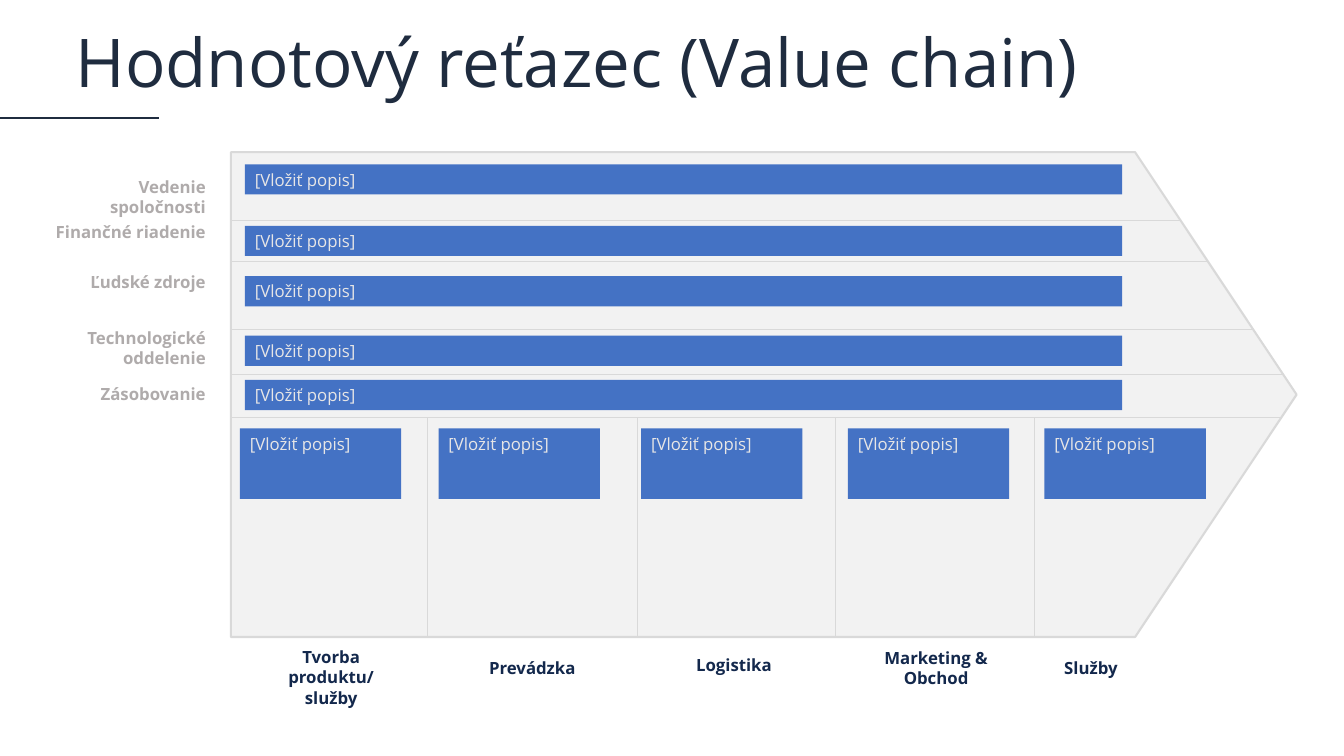
import pptx
import pptx.util
import pptx.dml.color
import pptx.enum.shapes
import pptx.enum.text
import pptx.oxml

Inches = pptx.util.Inches
RGB = pptx.dml.color.RGBColor
Shape = pptx.enum.shapes.MSO_SHAPE
Align = pptx.enum.text.PP_ALIGN
Anchor = pptx.enum.text.MSO_ANCHOR

INK = RGB(0x1F, 0x2C, 0x3F)
NAVY = RGB(0x13, 0x28, 0x4C)
BLUE = RGB(0x44, 0x72, 0xC4)
PALE = RGB(0xF2, 0xF2, 0xF2)
RULE = RGB(0xD9, 0xD9, 0xD9)
GREY = RGB(0xAF, 0xAB, 0xAB)
LIGHT = RGB(0xE7, 0xE6, 0xE6)

FONT = "Open Sans"
HINT = "[Vložiť popis]"
SLANT = 0.333
SPLIT = 2.63
BAR = (8.7, 0.3)
CARD = (1.6, 0.7)

# Support rows: label, label top, label width, bar top
ROWS = [
    ("Vedenie spoločnosti", 0.19, 1.77, 0.12),
    ("Finančné riadenie", 0.64, 1.9, 0.73),
    ("Ľudské zdroje", 1.14, 1.9, 1.23),
    ("Technologické oddelenie", 1.69, 1.77, 1.82),
    ("Zásobovanie", 2.25, 1.77, 2.26),
]
ROW_CUTS = [0.68, 1.08, 1.76, 2.2, SPLIT]

# Primary steps: label, label left, label top, label width, card left
STEPS = [
    ("Tvorba produktu/ služby", 0.19, 0.05, 1.61, 0.09),
    ("Prevádzka", 2.39, 0.16, 1.2, 2.06),
    ("Logistika", 4.27, 0.13, 1.44, 4.07),
    ("Marketing & Obchod", 6.33, 0.06, 1.33, 6.12),
    ("Služby", 7.98, 0.16, 1.1, 8.07),
]
STEP_CUTS = [1.95, 4.03, 6, 7.97]


def write(frame, text, size=12, color=LIGHT, bold=False, align=Align.LEFT,
          anchor=Anchor.TOP, space=None):
    """Put one formatted paragraph into a text frame."""
    frame.word_wrap = True
    frame.auto_size = pptx.enum.text.MSO_AUTO_SIZE.NONE
    frame.vertical_anchor = anchor
    para = frame.paragraphs[0]
    para.alignment = align
    if space:
        para.line_spacing = space
    run = para.add_run()
    run.text = text
    run.font.name = FONT
    run.font.size = pptx.util.Pt(size)
    run.font.bold = bold
    run.font.color.rgb = color


def label(slide, text, left, top, width, **style):
    """Add a bold text box."""
    box = slide.shapes.add_textbox(*map(Inches, (left, top, width, 0.5)))
    write(box.text_frame, text, bold=True, **style)


def block(slide, kind, left, top, width, height, fill):
    """Add a filled shape with no outline."""
    shape = slide.shapes.add_shape(kind, *map(Inches, (left, top, width, height)))
    shape.shadow.inherit = False
    shape.fill.solid()
    shape.fill.fore_color.rgb = fill
    shape.line.fill.background()
    return shape


def rule(slide, left, top, right, bottom, color=RULE, weight=0.5):
    """Draw a straight line without a shadow."""
    line = slide.shapes.add_connector(
        pptx.enum.shapes.MSO_CONNECTOR.STRAIGHT,
        *map(Inches, (left, top, right, bottom)))
    line.line.color.rgb = color
    line.line.width = pptx.util.Pt(weight)
    pptx.oxml.xmlchemy.OxmlElement
    line._element.spPr.append(pptx.oxml.xmlchemy.OxmlElement("a:effectLst"))


def heading(slide, left, top, width, height):
    """Place the title and the short rule below it."""
    title = slide.shapes.title
    title.left, title.top, title.width, title.height = map(
        Inches, (left, top, width, height))
    write(title.text_frame, "Hodnotový reťazec (Value chain)", size=48,
          color=INK, anchor=Anchor.MIDDLE, space=0.9)
    rule(slide, 0, 1.17, 1.58, 1.17, INK, 1.5)


def arrow(slide, left, top, width, height):
    """Draw the arrow and the lines that divide it."""
    shape = block(slide, Shape.PENTAGON, left, top, width, height, PALE)
    shape.adjustments[0] = SLANT
    shape.line.color.rgb = RULE
    shape.line.width = pptx.util.Pt(1.5)
    half = height / 2
    for cut in ROW_CUTS:
        inset = SLANT * height * abs(cut - half) / half
        rule(slide, left, top + cut, left + width - inset, top + cut)
    for cut in STEP_CUTS:
        rule(slide, left + cut, top + SPLIT, left + cut, top + height)


def support(slide, left, top):
    """Fill the rows of support activities."""
    for text, drop, width, bar in ROWS:
        label(slide, text, left - 0.15 - width, top + drop, width,
              color=GREY, align=Align.RIGHT)
        shape = block(slide, Shape.RECTANGLE, left + 0.14, top + bar, *BAR, BLUE)
        write(shape.text_frame, HINT)


def primary(slide, left, top, height):
    """Fill the columns of primary activities."""
    for text, shift, drop, width, card in STEPS:
        shape = block(slide, Shape.RECTANGLE, left + card, top + SPLIT + 0.11,
                      *CARD, BLUE)
        write(shape.text_frame, HINT)
        label(slide, text, left + shift, top + height + drop, width,
              color=NAVY, align=Align.CENTER)


def main():
    """Build and save the slide."""
    deck = pptx.Presentation()
    deck.slide_width, deck.slide_height = Inches(13.33), Inches(7.5)
    slide = deck.slides.add_slide(deck.slide_layouts[5])
    left, top, width, height = 2.29, 1.51, 10.57, 4.81
    heading(slide, 0.65, 0.44, 11.12, 0.43)
    arrow(slide, left, top, width, height)
    support(slide, left, top)
    primary(slide, left, top, height)
    deck.save("out.pptx")


if __name__ == "__main__":
    main()
